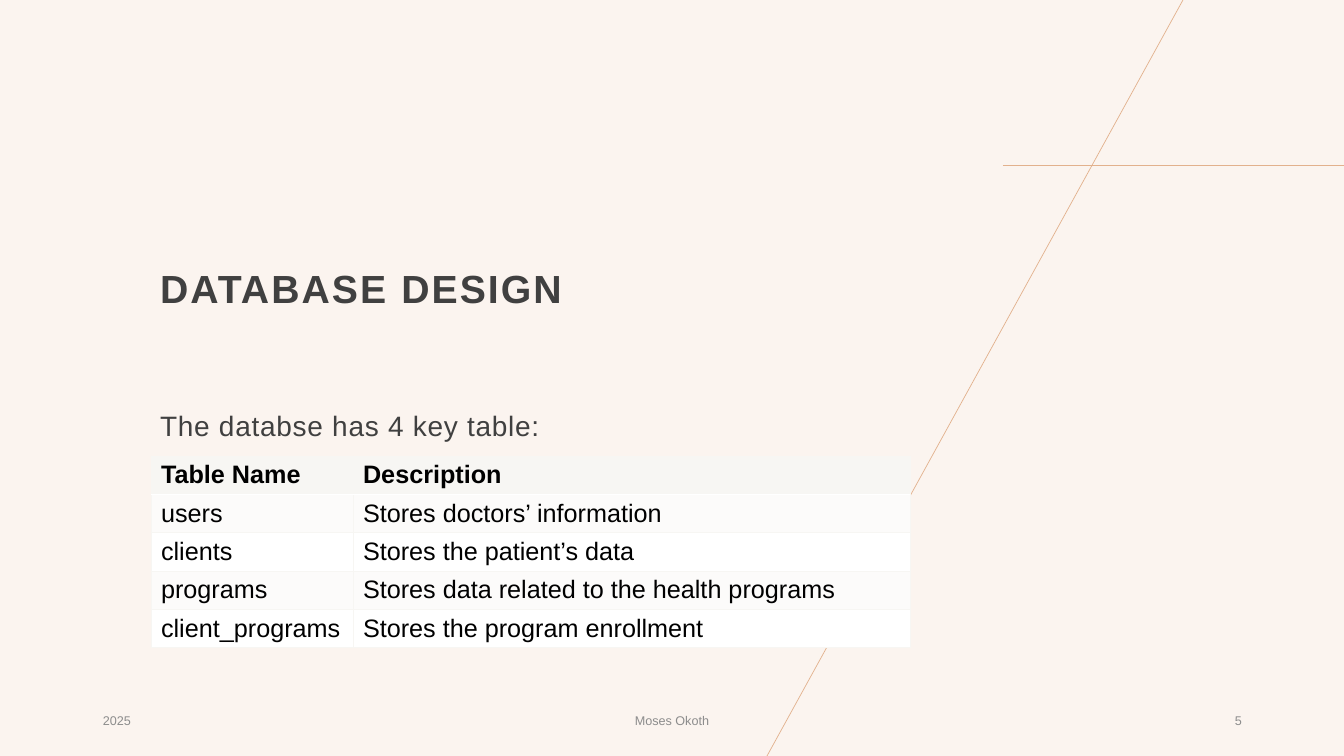
from lxml import etree
from pptx import Presentation
from pptx.dml.color import RGBColor
from pptx.enum.shapes import MSO_CONNECTOR
from pptx.enum.text import MSO_ANCHOR, MSO_AUTO_SIZE, PP_ALIGN
from pptx.oxml.ns import qn
from pptx.util import Emu, Pt

STRAIGHT = MSO_CONNECTOR.STRAIGHT
TOP, MIDDLE, BOTTOM = MSO_ANCHOR.TOP, MSO_ANCHOR.MIDDLE, MSO_ANCHOR.BOTTOM
LEFT, CENTER, RIGHT = PP_ALIGN.LEFT, PP_ALIGN.CENTER, PP_ALIGN.RIGHT
NO_AUTOFIT = MSO_AUTO_SIZE.NONE

EMU_PER_PX = 914400 / 100.8
FONT = "Arial"
COLORS = {
    "background": "FBF4EF",
    "accent": "E2B18D",
    "heading": "404040",
    "footer": "8C8C8C",
    "cell_text": "000000",
    "header": "F7F6F3",
    "band": "FCFBFA",
    "white": "FFFFFF",
}
TABLE_ROWS = [
    ("Table Name", "Description"),
    ("users", "Stores doctors’ information"),
    ("clients", "Stores the patient’s data"),
    ("programs", "Stores data related to the health programs"),
    ("client_programs", "Stores the program enrollment"),
]
COLUMN_WIDTHS = (202, 557)
ROW_HEIGHT = 38
# Footer entries: left, width, alignment, text
FOOTERS = [
    (93, 302, LEFT, "2025"),
    (576, 192, CENTER, "Moses Okoth"),
    (950, 302, RIGHT, "5"),
]


def px(value):
    return Emu(round(value * EMU_PER_PX))


def color(name):
    return RGBColor.from_string(COLORS[name])


class SlideBuilder:
    def __init__(self, presentation):
        self.slide = presentation.slides.add_slide(presentation.slide_layouts[1])
        fill = self.slide.background.fill
        fill.solid()
        fill.fore_color.rgb = color("background")

    def add_text(self, frame, text, size, color_name, bold=False, spacing=0, **paragraph_format):
        paragraph = frame.paragraphs[0]
        for name, value in paragraph_format.items():
            setattr(paragraph, name, value)
        run = paragraph.add_run()
        run.text = text
        for name, value in {"name": FONT, "size": Pt(size), "bold": bold}.items():
            setattr(run.font, name, value)
        run.font.color.rgb = color(color_name)
        if spacing:
            run._r.get_or_add_rPr().set("spc", str(spacing))
        return paragraph

    def frame(self, shape, anchor):
        settings = {"word_wrap": True, "auto_size": NO_AUTOFIT, "vertical_anchor": anchor}
        for name, value in settings.items():
            setattr(shape.text_frame, name, value)
        return shape.text_frame

    def placeholder(self, index, box, anchor, text, size, **text_format):
        shape = self.slide.placeholders[index]
        for name, value in zip(("left", "top", "width", "height"), box):
            setattr(shape, name, px(value))
        paragraph = self.add_text(self.frame(shape, anchor), text, size, "heading",
                                  alignment=LEFT, **text_format)
        properties = paragraph._p.get_or_add_pPr()
        properties.set("marL", "0")
        properties.set("indent", "0")
        etree.SubElement(properties, qn("a:buNone"))

    def label(self, box, alignment, text):
        shape = self.slide.shapes.add_textbox(*map(px, box))
        self.add_text(self.frame(shape, MIDDLE), text, 9, "footer", alignment=alignment)

    def line(self, *ends):
        connector = self.slide.shapes.add_connector(STRAIGHT, *map(px, ends))
        connector.line.color.rgb = color("accent")
        connector.line.width = Pt(0.5)
        etree.SubElement(connector._element.spPr, qn("a:effectLst"))

    def border(self, side, color_name, width):
        line = etree.Element(qn(f"a:{side}"), w=str(Pt(width)))
        fill = etree.SubElement(line, qn("a:solidFill"))
        etree.SubElement(fill, qn("a:srgbClr"), val=COLORS[color_name])
        return line

    def table(self, left, top, rows, widths, row_height):
        table = self.slide.shapes.add_table(
            len(rows), len(widths), px(left), px(top),
            px(sum(widths)), px(row_height * len(rows))).table
        table.horz_banding = False
        for column, width in zip(table.columns, widths):
            column.width = px(width)
        for row_index, texts in enumerate(rows):
            table.rows[row_index].height = px(row_height)
            is_header = row_index == 0
            fill_name = "header" if is_header else "band" if row_index % 2 else "white"
            for column_index, text in enumerate(texts):
                cell = table.cell(row_index, column_index)
                cell.fill.solid()
                cell.fill.fore_color.rgb = color(fill_name)
                self.add_text(cell.text_frame, text, 18, "cell_text", bold=is_header)
                edges = {side: ("header", 0.5) for side in ("lnL", "lnR", "lnT", "lnB")}
                if is_header:
                    edges["lnB"] = ("white", 1)
                elif row_index == 1:
                    edges["lnT"] = ("white", 1)
                # Borders come before the fill in the cell properties
                for position, (side, style) in enumerate(edges.items()):
                    cell._tc.tcPr.insert(position, self.border(side, *style))


def main():
    presentation = Presentation()
    presentation.slide_width, presentation.slide_height = px(1344), px(756)
    builder = SlideBuilder(presentation)

    # Decorative lines
    builder.line(1003, 165, 1344, 165)
    builder.line(1183, 0, 767, 756)

    # Title and introduction
    builder.placeholder(0, (150, 184, 563, 133), BOTTOM, "DATABASE DESIGN", 28,
                        bold=True, spacing=150, line_spacing=0.9)
    builder.placeholder(1, (150, 403, 563, 168), TOP, "The databse has 4 key table:", 20,
                        spacing=50, space_before=Pt(10))

    # Footer
    for left, width, alignment, text in FOOTERS:
        builder.label((left, 701, width, 40), alignment, text)

    # Table of database tables
    builder.table(151, 456, TABLE_ROWS, COLUMN_WIDTHS, ROW_HEIGHT)

    presentation.save("out.pptx")


if __name__ == "__main__":
    main()
